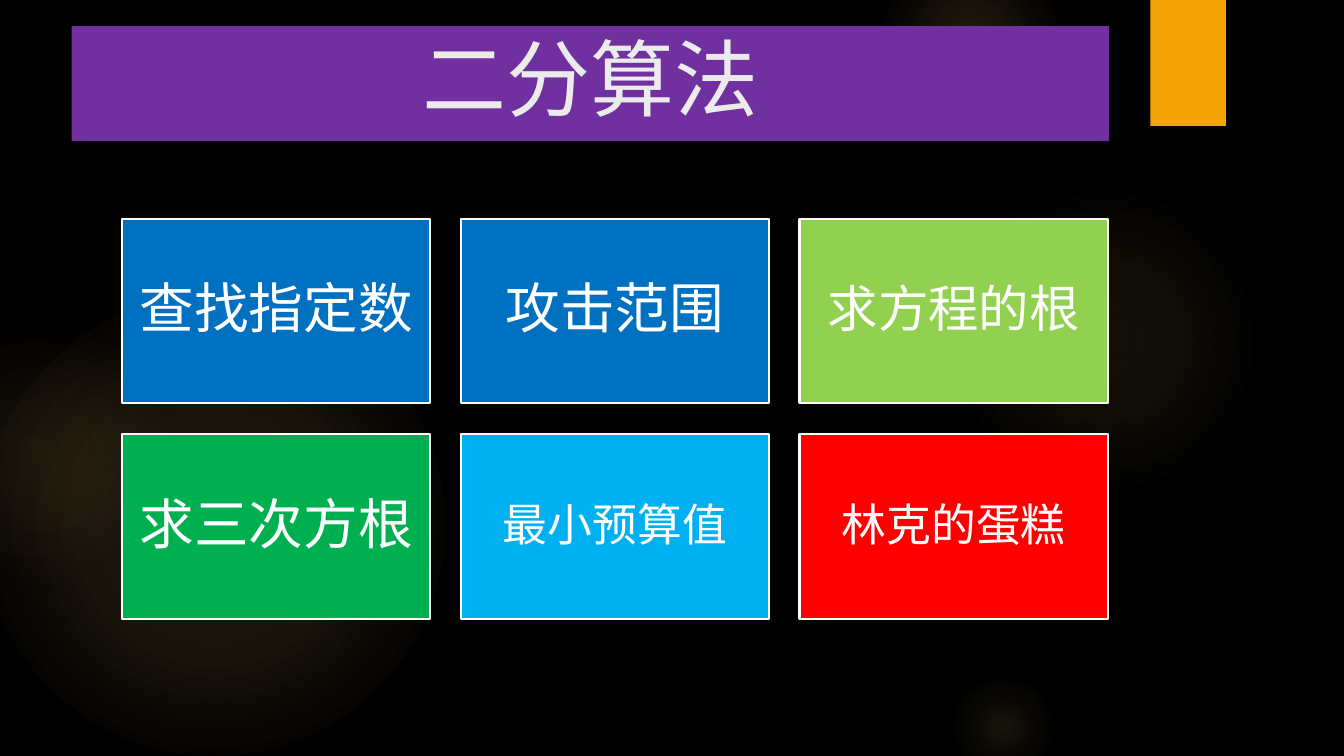
import pptx
import pptx.dml.color
import pptx.enum.shapes
import pptx.enum.text
import pptx.oxml
import pptx.oxml.ns
import pptx.util

COLOURS = {
    "background": "000000", "glow": "FAC96A", "rose": "F59B74",
    "tab": "F5A408", "banner": "7030A0", "title": "EBEBEB",
    "white": "FFFFFF", "blue": "0070C0", "lime": "92D050",
    "green": "00B050", "sky": "00B0F0", "red": "FF0000",
}
TITLE_FONT = "TeX Gyre Adventor"
BODY_FONT = "Noto Sans CJK SC"
NAMESPACE = pptx.oxml.ns.nsdecls("a")
SHAPES = pptx.enum.shapes.MSO_SHAPE


def px(length):
    """One px is a hundredth of an inch."""
    return pptx.util.Emu(length * 9144)


def colour(name):
    return pptx.dml.color.RGBColor.from_string(COLOURS[name])


class SlideBuilder:
    def __init__(self, presentation):
        self.slide = presentation.slides.add_slide(presentation.slide_layouts[6])
        fill = self.slide.background.fill
        fill.solid()
        fill.fore_color.rgb = colour("background")

    def shape(self, kind, left, top, width, height):
        shape = self.slide.shapes.add_shape(
            kind, px(left), px(top), px(width), px(height))
        shape.shadow.inherit = False
        shape.line.fill.background()
        return shape

    def glow(self, left, top, size, stops):
        """Circle that fades outwards; stops are (position, colour, opacity) in percent."""
        shape = self.shape(SHAPES.OVAL, left, top, size, size)
        stop_xml = "".join(
            f'<a:gs pos="{position * 1000}"><a:srgbClr val="{COLOURS[name]}">'
            f'<a:alpha val="{opacity * 1000}"/></a:srgbClr></a:gs>'
            for position, name, opacity in stops)
        gradient = pptx.oxml.parse_xml(
            f'<a:gradFill {NAMESPACE} rotWithShape="1"><a:gsLst>{stop_xml}</a:gsLst>'
            '<a:path path="circle"><a:fillToRect l="50000" t="50000" r="50000" b="50000"/>'
            '</a:path></a:gradFill>')
        shape._element.spPr.find(pptx.oxml.ns.qn("a:prstGeom")).addnext(gradient)

    def rectangle(self, left, top, width, height, fill):
        shape = self.shape(SHAPES.RECTANGLE, left, top, width, height)
        shape.fill.solid()
        shape.fill.fore_color.rgb = colour(fill)
        return shape

    def drop_shadow(self, shape):
        effects = shape._element.spPr.find(pptx.oxml.ns.qn("a:effectLst"))
        effects.append(pptx.oxml.parse_xml(
            f'<a:outerShdw {NAMESPACE} blurRad="38100" dist="25400" dir="5400000" '
            'rotWithShape="0"><a:srgbClr val="000000"><a:alpha val="45000"/>'
            '</a:srgbClr></a:outerShdw>'))

    def text(self, shape, words, size, font_name, text_colour, inset):
        frame = shape.text_frame
        frame.word_wrap = True
        frame.vertical_anchor = pptx.enum.text.MSO_ANCHOR.MIDDLE
        frame.margin_left = frame.margin_right = px(inset)
        frame.margin_top = frame.margin_bottom = px(inset)
        paragraph = frame.paragraphs[0]
        paragraph.text = words
        paragraph.alignment = pptx.enum.text.PP_ALIGN.CENTER
        paragraph.line_spacing = 0.9
        font = paragraph.font
        font.size = pptx.util.Pt(size)
        font.name = font_name
        font.color.rgb = colour(text_colour)
        # East Asian glyphs take their own typeface
        font._element.find(pptx.oxml.ns.qn("a:latin")).addnext(
            pptx.oxml.parse_xml(f'<a:ea {NAMESPACE} typeface="{font_name}"/>'))

    def card(self, left, top, width, height, words, size, fill):
        shape = self.rectangle(left, top, width, height, fill)
        shape.line.color.rgb = colour("white")
        shape.line.width = pptx.util.Pt(1.5)
        self.text(shape, words, size, BODY_FONT, "white", inset=round(size * 0.41))


def main():
    presentation = pptx.Presentation()
    presentation.slide_width = px(1333)
    presentation.slide_height = px(750)
    builder = SlideBuilder(presentation)

    # Background glows
    glows = [
        (-17, 292, 458, [(0, "glow", 11), (36, "glow", 10), (75, "glow", 0)]),
        (-92, 317, 258, [(0, "glow", 8), (36, "glow", 5), (71, "rose", 0)]),
        (941, 183, 308, [(0, "glow", 7), (36, "glow", 6), (69, "glow", 0)]),
        (875, -50, 175, [(0, "glow", 14), (36, "glow", 7), (73, "glow", 0)]),
        (941, 667, 108, [(0, "glow", 10), (31, "glow", 5), (66, "glow", 0)]),
    ]
    for glow in glows:
        builder.glow(*glow)

    # Corner tab and title banner
    builder.drop_shadow(builder.rectangle(1141, 0, 75, 125, "tab"))
    banner = builder.rectangle(71, 26, 1029, 114, "banner")
    builder.text(banner, "二分算法", 60, TITLE_FONT, "title", inset=5)

    # Topic cards, three to a row
    topics = [
        ("查找指定数", 39, "blue"), ("攻击范围", 39, "blue"), ("求方程的根", 36, "lime"),
        ("求三次方根", 39, "green"), ("最小预算值", 32, "sky"), ("林克的蛋糕", 32, "red"),
    ]
    for index, topic in enumerate(topics):
        row, column = divmod(index, 3)
        builder.card(121 + column * 336, 217 + row * 214, 306, 183, *topic)

    presentation.save("out.pptx")


if __name__ == "__main__":
    main()
